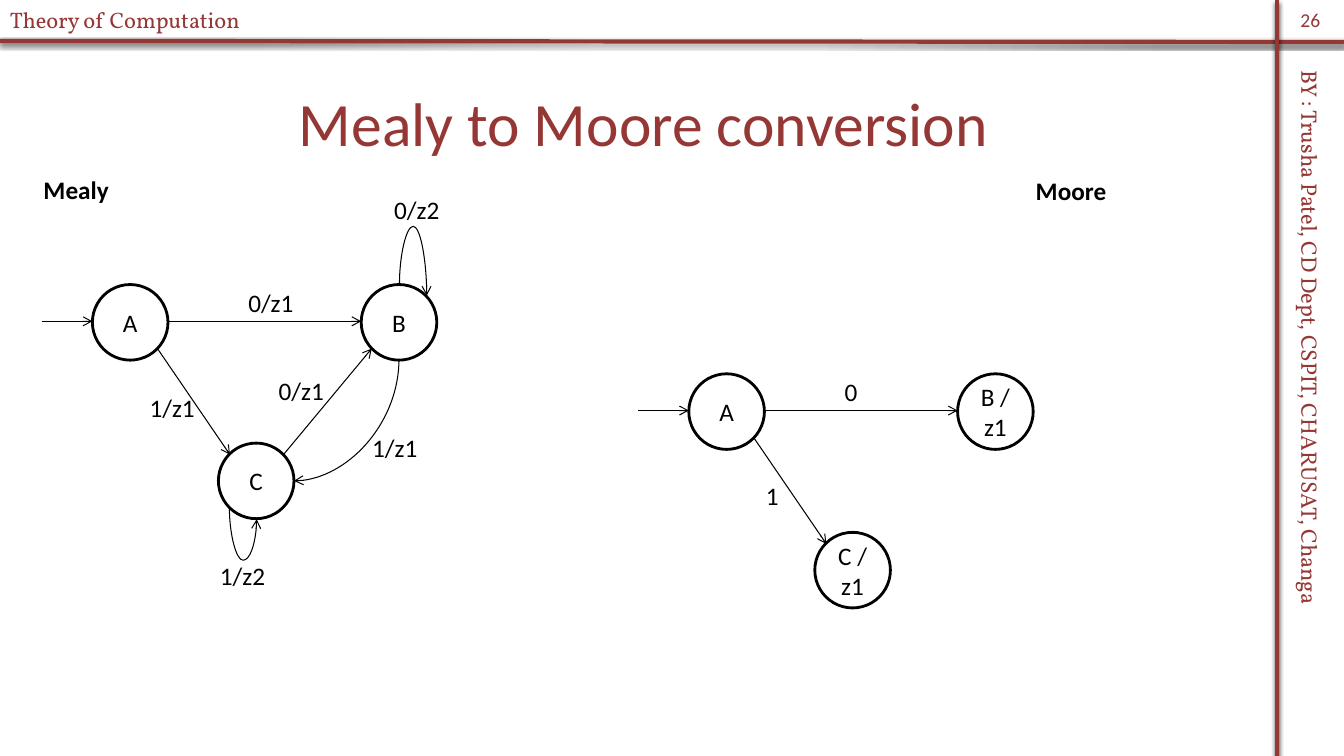
from pptx import Presentation
from pptx.dml.color import RGBColor
from pptx.enum.shapes import MSO_CONNECTOR, MSO_SHAPE
from pptx.enum.text import MSO_ANCHOR, MSO_AUTO_SIZE, PP_ALIGN
from pptx.oxml import parse_xml
from pptx.oxml.ns import nsdecls, qn
from pptx.util import Pt

PX = 9525
RED, BLACK, WHITE = "953735", "000000", "FFFFFF"
hue = RGBColor.from_string


def put(shape, text, color, align, frame_set, font_set):
    frame = shape.text_frame
    for key, val in frame_set.items():
        setattr(frame, key, val)
    par = frame.paragraphs[0]
    par.alignment = align
    run = par.add_run()
    run.text = text
    for key, val in font_set.items():
        setattr(run.font, key, val)
    run.font.color.rgb = hue(color)


def link(shapes, kind, ends, color, width, effect):
    line = shapes.add_connector(kind, *[n * PX for n in ends])
    line.line.color.rgb = hue(color)
    line.line.width = Pt(width)
    line._element.spPr.append(parse_xml(f'<a:effectLst {nsdecls("a")}>{effect}</a:effectLst>'))
    return line


deck = Presentation()
deck.slide_width, deck.slide_height = 1280 * PX, 720 * PX
slide = deck.slides.add_slide(deck.slide_layouts[6])
shapes = slide.shapes

fit = {"word_wrap": False, "auto_size": MSO_AUTO_SIZE.SHAPE_TO_FIT_TEXT}
mid = {"word_wrap": True, "vertical_anchor": MSO_ANCHOR.MIDDLE}
serif = {"name": "Vollkorn", "size": Pt(16)}
plain = {"name": "Calibri", "size": Pt(18)}
left, center = PP_ALIGN.LEFT, PP_ALIGN.CENTER

shade = (
    '<a:outerShdw blurRad="39370" dist="22860" dir="5400000" rotWithShape="0">'
    '<a:srgbClr val="000000"><a:alpha val="73000"/></a:srgbClr></a:outerShdw>'
)
for ends in [(0, 39, 1280, 40), (1216, 0, 1216, 720)]:
    link(shapes, MSO_CONNECTOR.STRAIGHT, ends, RED, 3, shade)

texts = [
    ("BY : Trusha Patel, CD Dept, CSPIT, CHARUSAT, Changa", (940, 348, 616, 35), 90, RED, left, fit, serif),
    ("Theory of Computation", (0, 1, 316, 35), 0, RED, left, fit, serif),
    ("Mealy to Moore conversion", (21, 56, 1184, 120), 0, RED, center, mid, plain | {"size": Pt(44)}),
    ("26", (1216, 0, 64, 38), 0, RED, center, mid, plain | {"size": Pt(14)}),
    ("Mealy", (32, 161, 82, 38), 0, BLACK, left, fit, plain | {"bold": True}),
    ("Moore", (977, 162, 87, 38), 0, BLACK, left, fit, plain | {"bold": True}),
]
for text, area, turn, color, align, frame_set, font_set in texts:
    box = shapes.add_textbox(*[n * PX for n in area])
    box.rotation = turn
    put(box, text, color, align, frame_set, font_set)

spots = [(88, 271), (344, 271), (208, 422)]
size = 72
edges = [(40, 306, 88, 306), (160, 306, 344, 306), (150, 332, 219, 433)]
back = (270, 433, 354, 332)
curves = [
    ((272, 350, 116, 100), "curvedConnector2", 90, False, None),
    ((388, 263, 11, 26), "curvedConnector3", 270, True, -499900),
    ((226, 476, 11, 26), "curvedConnector3", 270, True, 455200),
]
mealy_tags = [
    ("0/z1", 227, 269), ("1/z1", 133, 369), ("1/z2", 200, 529),
    ("1/z1", 345, 407), ("0/z1", 256, 353), ("0/z2", 366, 180),
]
moore_tags = [("0", 227, 269), ("1", 152, 368)]
graphs = [
    (0, 0, ["A", "B", "C"], edges + [back], curves, mealy_tags, 63),
    (568, 85, ["A", "B / z1", "C / z1"], edges, [], moore_tags, 32),
]

for dx, dy, names, lines, bends, tags, wide in graphs:
    group = shapes.add_group_shape().shapes
    for name, (x, y) in zip(names, spots):
        state = group.add_shape(MSO_SHAPE.OVAL, (x + dx) * PX, (y + dy) * PX, size * PX, size * PX)
        state.shadow.inherit = False
        state.fill.solid()
        state.fill.fore_color.rgb = hue(WHITE)
        state.line.color.rgb = hue(BLACK)
        state.line.width = Pt(2)
        put(state, name, BLACK, center, mid, plain)

    arrows = []
    for x, y, end_x, end_y in lines:
        ends = (x + dx, y + dy, end_x + dx, end_y + dy)
        arrows.append(link(group, MSO_CONNECTOR.STRAIGHT, ends, BLACK, 0.75, ""))
    for (x, y, w, h), preset, turn, flip, bulge in bends:
        curve = link(group, MSO_CONNECTOR.CURVE, (x, y, x + w, y + h), BLACK, 0.75, "")
        props = curve._element.spPr
        form = props.find(qn("a:xfrm"))
        form.set("rot", str(turn * 60000))
        if flip:
            form.set("flipH", "1")
        guide = f'<a:gd name="adj1" fmla="val {bulge}"/>' if bulge else ""
        shape_xml = f'<a:prstGeom {nsdecls("a")} prst="{preset}"><a:avLst>{guide}</a:avLst></a:prstGeom>'
        props.replace(props.find(qn("a:prstGeom")), parse_xml(shape_xml))
        arrows.append(curve)
    for arrow in arrows:
        stroke = arrow._element.spPr.find(qn("a:ln"))
        stroke.append(parse_xml(f'<a:tailEnd {nsdecls("a")} type="arrow"/>'))

    for text, x, y in tags:
        tag = group.add_textbox((x + dx) * PX, (y + dy) * PX, wide * PX, 38 * PX)
        put(tag, text, BLACK, left, fit, plain)

deck.save("out.pptx")
